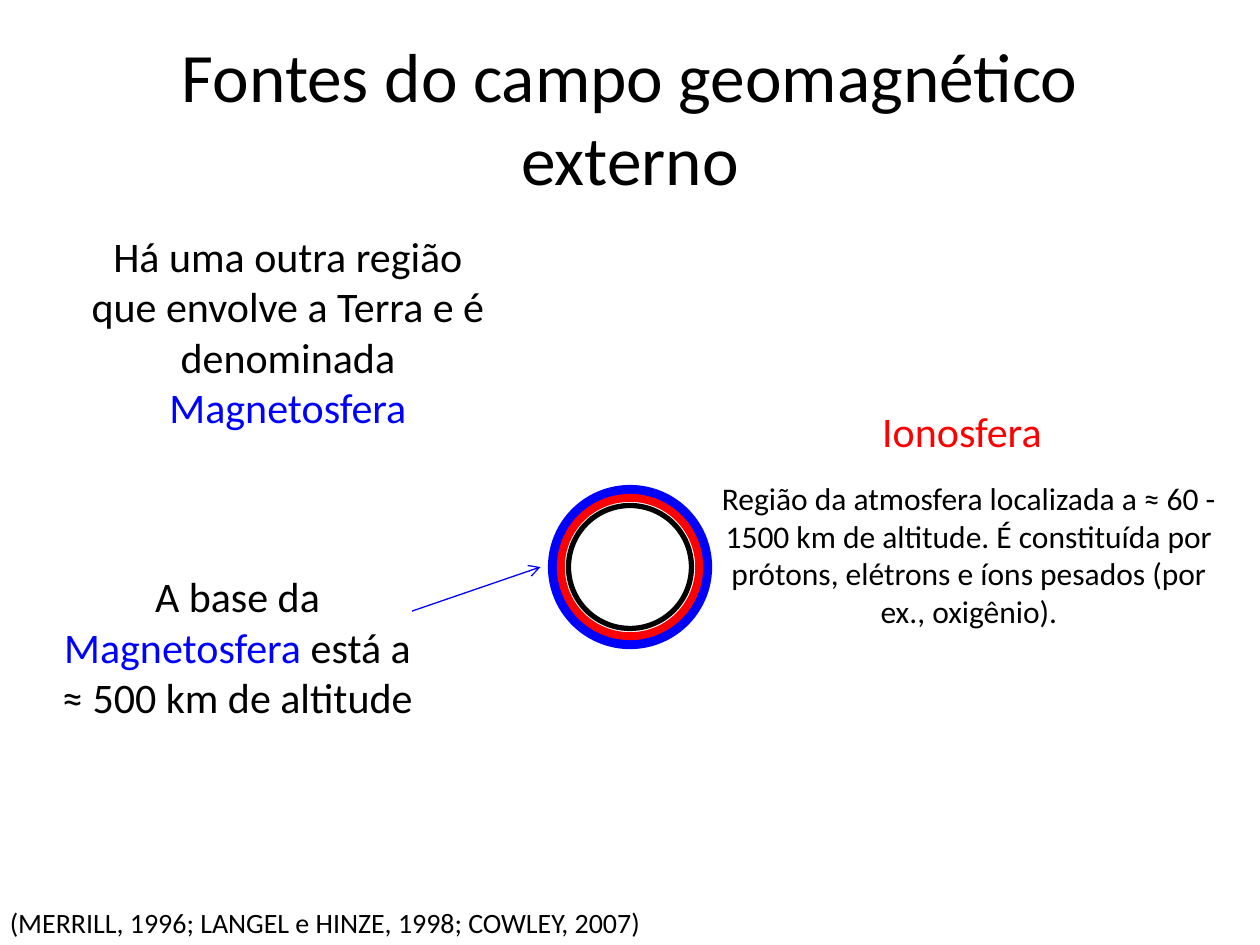
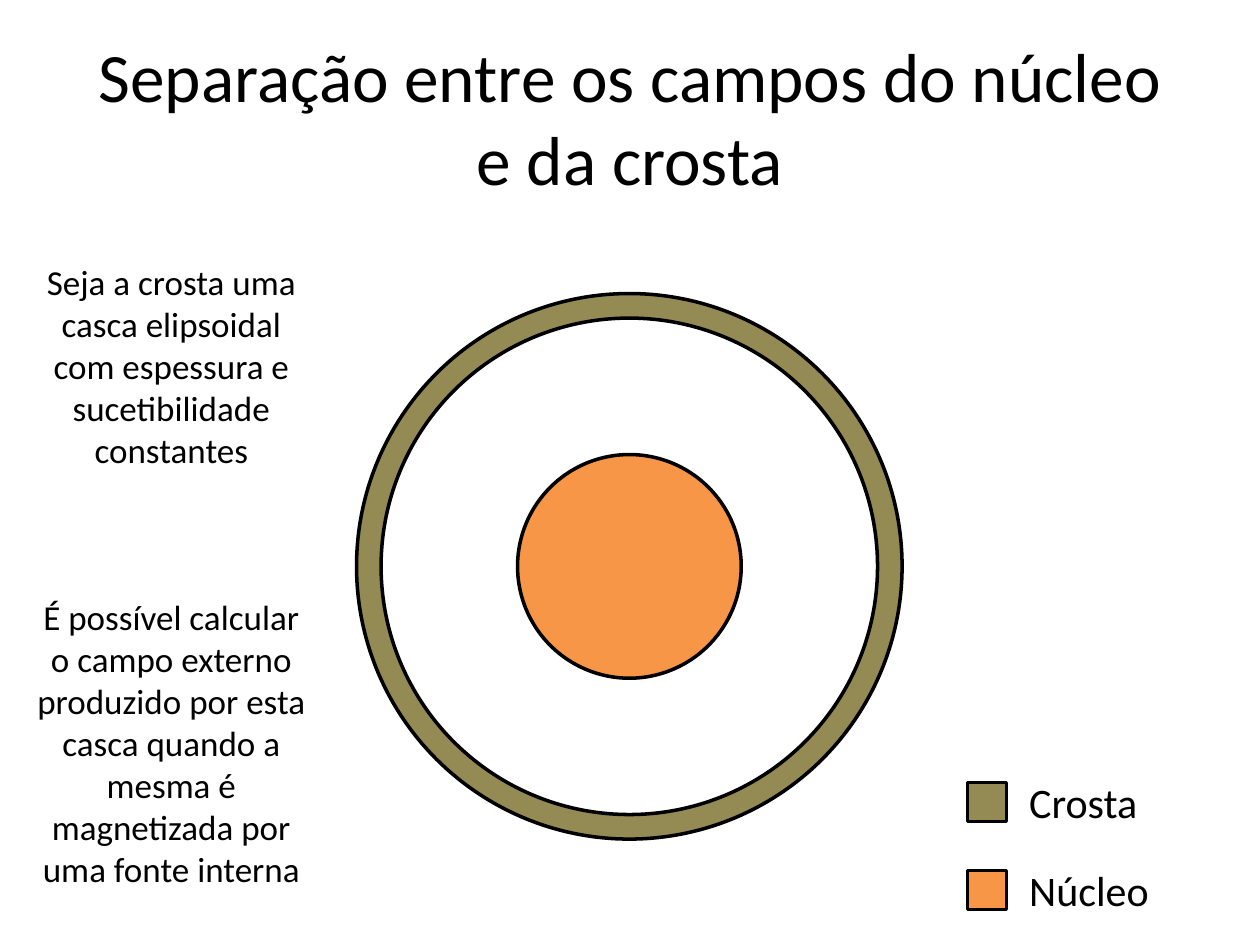
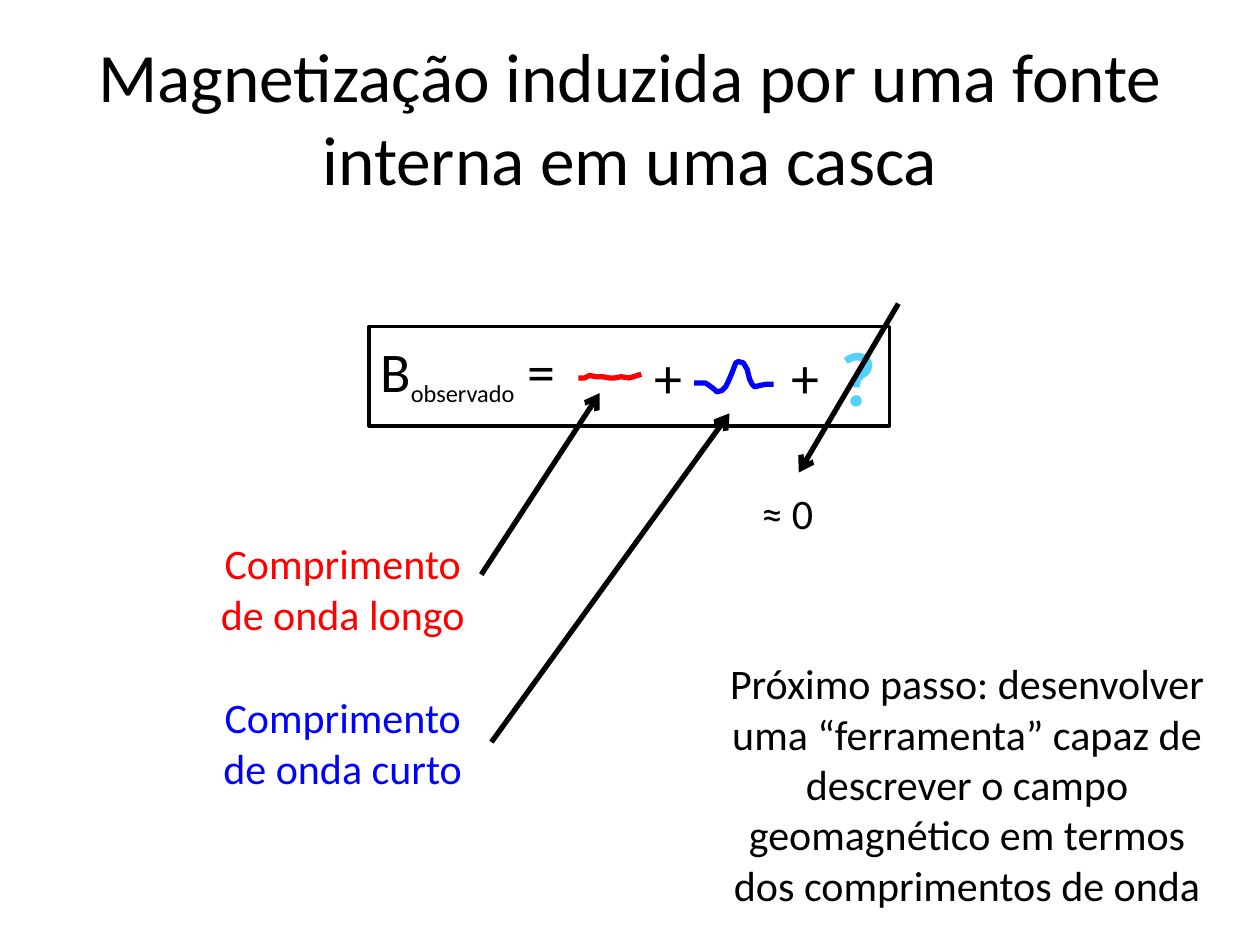
from dataclasses import dataclass
from lxml.etree import SubElement as Sub
from pptx import Presentation
from pptx.dml.color import RGBColor as Rgb
from pptx.enum.shapes import MSO_CONNECTOR as Link, MSO_SHAPE as Form
from pptx.enum.text import MSO_ANCHOR as Anchor, MSO_AUTO_SIZE as Auto, PP_ALIGN as Align
from pptx.oxml.ns import qn
from pptx.util import Inches, Pt

CELL = Inches(0.1)
COLS, ROWS = 100, 75


@dataclass(frozen=True)
class Theme:
    """Colours, font and type sizes of the deck."""
    face: str = "Calibri"
    black: str = "000000"
    white: str = "FFFFFF"
    red: str = "FF0000"
    blue: str = "0000FF"
    cyan: str = "53D2FF"
    crust: str = "948A54"
    core: str = "F79646"
    title: float = 39.6
    mark: int = 44
    math: int = 32
    body: int = 24
    note: int = 20
    small: int = 18
    cite: int = 16


T = Theme()


@dataclass(frozen=True)
class Box:
    """A box in grid columns and rows."""
    x: float
    y: float
    w: float
    h: float

    def sub(self, x, y, w, h):
        """Return a box offset from this one."""
        return Box(self.x + x, self.y + y, w, h)

    def mid(self, share):
        """Return a centred box with a share of this one's size."""
        w, h = self.w * share, self.h * share
        return self.sub((self.w - w) / 2, (self.h - h) / 2, w, h)

    def emu(self):
        """Return left, top, width and height in slide units."""
        return [round(v * CELL) for v in (self.x, self.y, self.w, self.h)]


def style(item, **vals):
    """Set each named attribute on the item."""
    for name, val in vals.items():
        setattr(item, name, val)


def write(par, text, size, ink=T.black, bold=False, base=0):
    """Add one formatted run to a paragraph."""
    run = par.add_run()
    run.text = text
    style(run.font, name=T.face, size=Pt(size), bold=bold)
    run.font.color.rgb = Rgb.from_string(ink)
    if base:
        run.font._element.set("baseline", str(base * 1000))


def say(shapes, box, *runs, size=T.body, align=Align.CENTER):
    """Add a text box of runs given as text, then optional format values."""
    frame = shapes.add_textbox(*box.emu()).text_frame
    style(frame, word_wrap=True, auto_size=Auto.SHAPE_TO_FIT_TEXT)
    par = frame.paragraphs[0]
    par.alignment = align
    for text, *rest in runs:
        write(par, text, **{"size": size, **(rest[0] if rest else {})})


def paint(shape, ink, width, fill=None):
    """Set outline and fill and drop the shadow."""
    shape.shadow.inherit = False
    shape.line.color.rgb = Rgb.from_string(ink)
    shape.line.width = Pt(width)
    if fill:
        shape.fill.solid()
        shape.fill.fore_color.rgb = Rgb.from_string(fill)
    else:
        shape.fill.background()


def draw(shapes, form, box, ink=T.black, width=2, fill=None):
    """Add a painted preset shape."""
    paint(shapes.add_shape(form, *box.emu()), ink, width, fill)


def arrow(shapes, start, end, ink=T.black, width=3):
    """Add a line with an open arrowhead at its end."""
    ends = [round(v * CELL) for v in (*start, *end)]
    line = shapes.add_connector(Link.STRAIGHT, *ends)
    line.line.color.rgb = Rgb.from_string(ink)
    line.line.width = Pt(width)
    Sub(line.line._get_or_add_ln(), qn("a:tailEnd"), type="arrow")
    Sub(line._element.spPr, qn("a:effectLst"))


def wave(shapes, box, points, ink):
    """Add an open curve through points in tenths of a cell."""
    pen = shapes.build_freeform(*points[0], scale=CELL / 10)
    pen.add_line_segments(points[1:], close=False)
    paint(pen.convert_to_shape(*box.emu()[:2]), ink, 3)


def rings(shapes, box, *bands):
    """Add concentric circles, each a share of the box and its paint."""
    for share, paints in bands:
        draw(shapes, Form.OVAL, box.mid(share), **paints)


def legend(shapes, box, rows):
    """Add a column of colour keys and names."""
    for i, (name, fill) in enumerate(rows):
        top = 7 * i
        draw(shapes, Form.RECTANGLE, box.sub(0, top + 1, 3.1, 3.1), fill=fill)
        say(shapes, box.sub(3.9, top, 13.4, 5), (name,), align=Align.LEFT)


def sum_box(shapes, box):
    """Add the framed sum of the observed field."""
    part = shapes.add_group_shape().shapes
    say(part, box.sub(-0.1, 0.3, 23.6, 6.4), ("B",),
        ("observado", {"size": T.body, "base": -25}), (" =",),
        size=T.math, align=Align.LEFT)
    long = [(0, 4), (5, 4), (9, 2), (14, 3), (19, 3), (25, 4), (29, 4),
            (34, 3), (40, 4), (44, 3), (47, 2), (50, 1)]
    short = [(0, 17), (9, 17), (12, 19), (16, 22), (18, 24), (22, 23),
             (25, 20), (27, 16), (30, 9), (33, 1), (35, 0), (39, 1),
             (42, 6), (44, 14), (46, 18), (48, 20), (52, 19), (57, 18), (63, 18)]
    wave(part, box.sub(16.6, 3.7, 0, 0), long, T.red)
    wave(part, box.sub(25.8, 2.8, 0, 0), short, T.blue)
    say(part, box.sub(36.4, -0.2, 3.9, 8.4),
        ("?", {"ink": T.cyan, "bold": True}), size=T.mark)
    for x in (21.7, 32.5):
        say(part, box.sub(x, 0.8, 4.7, 6.4), ("+",), size=T.math, align=Align.LEFT)
    draw(part, Form.RECTANGLE, box)


def start(deck, text):
    """Add a titled slide and return its shapes."""
    shapes = deck.slides.add_slide(deck.slide_layouts[5]).shapes
    spot = dict(zip(("left", "top", "width", "height"), Box(5, 3, 90, 12.5).emu()))
    style(shapes.title, **spot)
    frame = shapes.title.text_frame
    style(frame, word_wrap=True, auto_size=Auto.NONE, vertical_anchor=Anchor.MIDDLE)
    frame.paragraphs[0].alignment = Align.CENTER
    write(frame.paragraphs[0], text, T.title)
    return shapes


def outer(deck, page):
    """Build the slide on the external field."""
    shapes = start(deck, "Fontes do campo geomagnético externo")
    blue = {"ink": T.blue}
    rings(shapes, page.sub(43.9, 38.9, 12.2, 12.2),
          (0.8, {"width": 3}), (1, {"ink": T.blue, "width": 6}),
          (0.9, {"ink": T.red, "width": 4.5}))
    say(shapes, page.sub(5.9, 17.8, 33.9, 17.2),
        ("Há uma outra região que envolve a Terra e é denominada ",),
        ("Magnetosfera", blue))
    say(shapes, page.sub(3.5, 44.8, 30.7, 13.1), ("A base da ",),
        ("Magnetosfera", blue), (" está a ≈ 500 km de altitude",))
    arrow(shapes, (32.7, 48.5), (42.9, 45), T.blue, 0.75)
    say(shapes, page.sub(61, 31.7, 30.7, 5), ("Ionosfera", {"ink": T.red}))
    say(shapes, page.sub(55.8, 37.5, 42.2, 13.1),
        ("Região da atmosfera localizada a ≈ 60 - 1500 km de altitude. "
         "É constituída por prótons, elétrons e íons pesados (por ex., oxigênio).",),
        size=T.small)
    say(shapes, page.sub(-0.2, 71.4, 53.4, 3.7),
        ("(MERRILL, 1996; LANGEL e HINZE, 1998; COWLEY, 2007)",),
        size=T.cite, align=Align.LEFT)


def split(deck, page):
    """Build the slide on core and crust."""
    shapes = start(deck, "Separação entre os campos do núcleo e da crosta")
    rings(shapes, page.sub(28.3, 23.3, 43.3, 43.3), (1, {"fill": T.crust}),
          (0.91, {"fill": T.white}), (0.41, {"fill": T.core}))
    legend(shapes, page.sub(76.8, 61.1, 17.3, 12),
           [("Crosta", T.crust), ("Núcleo", T.core)])
    notes = [(20.2, 17.8, "Seja a crosta uma casca elipsoidal com espessura "
              "e sucetibilidade constantes"),
             (46.8, 24.6, "É possível calcular o campo externo produzido por esta "
              "casca quando a mesma é magnetizada por uma fonte interna")]
    for top, high, text in notes:
        say(shapes, page.sub(1.6, top, 24, high), (text,), size=T.note)


def shell(deck, page):
    """Build the slide on magnetization in a shell."""
    shapes = start(deck, "Magnetização induzida por uma fonte interna em uma casca")
    sum_box(shapes, page.sub(29.3, 25.9, 41.3, 7.9))
    for top, kind, ink in ((42.2, "longo", T.red), (54.4, "curto", T.blue)):
        say(shapes, page.sub(15.4, top, 23.6, 9.1),
            (f"Comprimento de onda {kind}", {"ink": ink}))
    for ends in (((71.3, 24.1), (63.4, 37.5)), ((39, 58.9), (57.9, 32.8)),
                 ((38.2, 45.6), (47.6, 31.2))):
        arrow(shapes, *ends)
    say(shapes, page.sub(59, 38.2, 7, 5), ("≈ 0",))
    say(shapes, page.sub(56.3, 51.7, 40.9, 21.2),
        ("Próximo passo: desenvolver uma “ferramenta” capaz de descrever o campo "
         "geomagnético em termos dos comprimentos de onda",))


def main():
    """Build and save the deck."""
    deck = Presentation()
    style(deck, slide_width=COLS * CELL, slide_height=ROWS * CELL)
    for build in (outer, split, shell):
        build(deck, Box(0, 0, COLS, ROWS))
    deck.save("out.pptx")


if __name__ == "__main__":
    main()
